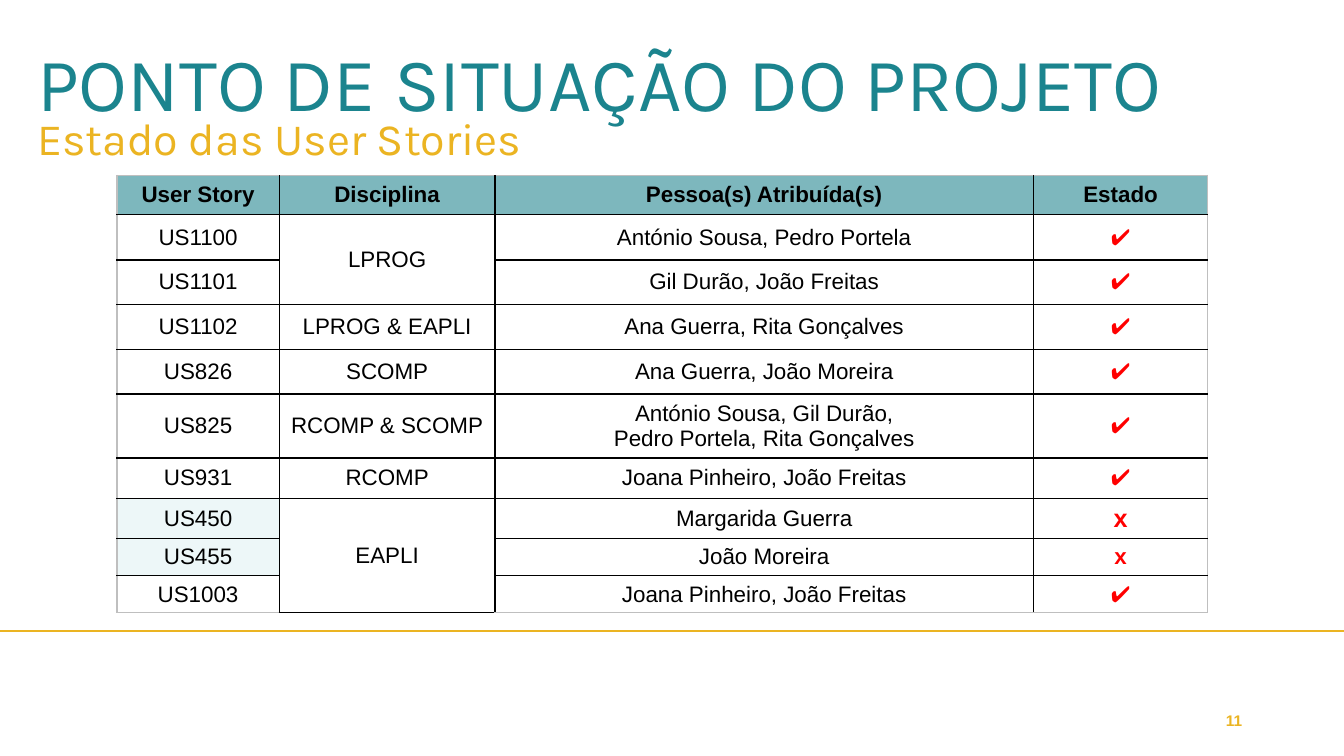
from lxml.etree import SubElement
from pptx import Presentation
from pptx.dml.color import RGBColor
from pptx.enum.shapes import MSO_CONNECTOR
from pptx.enum.text import MSO_ANCHOR, PP_ALIGN
from pptx.oxml.ns import qn
from pptx.util import Inches, Pt

COLORS = {
    "teal": "1B848E", "gold": "EBB422", "header": "7DB7BD", "pending": "EDF7F8",
    "black": "000000", "red": "FF0000", "edge": "BFBFBF",
}
TITLE = "PONTO DE SITUAÇÃO DO PROJETO"
SUBTITLE = "Estado das User Stories"
PAGE = "11"
DONE, OPEN = "✔", "x"
HEADER = ("User Story", "Disciplina", "Pessoa(s) Atribuída(s)", "Estado")
STORIES = [
    ("US1100", "LPROG", "António Sousa, Pedro Portela", DONE),
    ("US1101", "", "Gil Durão, João Freitas", DONE),
    ("US1102", "LPROG & EAPLI", "Ana Guerra, Rita Gonçalves", DONE),
    ("US826", "SCOMP", "Ana Guerra, João Moreira", DONE),
    ("US825", "RCOMP & SCOMP", "António Sousa, Gil Durão,\nPedro Portela, Rita Gonçalves", DONE),
    ("US931", "RCOMP", "Joana Pinheiro, João Freitas", DONE),
    ("US450", "EAPLI", "Margarida Guerra", OPEN),
    ("US455", "", "João Moreira", OPEN),
    ("US1003", "", "Joana Pinheiro, João Freitas", DONE),
]
MERGED_ROWS = [(1, 2), (7, 9)]
COL_WIDTHS = (1.61, 2.14, 5.34, 1.73)
ROW_HEIGHTS = (0.39, 0.45, 0.44, 0.45, 0.44, 0.63, 0.4, 0.4, 0.37, 0.36)


def rgb(name):
    return RGBColor.from_string(COLORS[name])


def write(tf, text, size=16, font="Arial", color="black", bold=False,
          align=PP_ALIGN.LEFT, spacing=None):
    for i, line in enumerate(text.split("\n")):
        p = tf.add_paragraph() if i else tf.paragraphs[0]
        p.alignment = align
        if spacing:
            p.line_spacing = spacing
        r = p.add_run()
        r.text = line
        r.font.size = Pt(size)
        r.font.name = font
        r.font.bold = bold
        r.font.color.rgb = rgb(color)


def add_text(slide, box, text, anchor=MSO_ANCHOR.TOP, **fmt):
    tf = slide.shapes.add_textbox(*map(Inches, box)).text_frame
    tf.word_wrap = True
    tf.vertical_anchor = anchor
    write(tf, text, **fmt)


def set_borders(cell, sides):
    """Draw 1 pt borders; sides maps lnL, lnR, lnT and lnB to colour names."""
    tc_pr = cell._tc.get_or_add_tcPr()
    for side, color in sides.items():
        ln = SubElement(tc_pr, qn(f"a:{side}"), w=str(Pt(1)))
        fill = SubElement(ln, qn("a:solidFill"))
        SubElement(fill, qn("a:srgbClr"), val=COLORS[color])


def add_stories(slide):
    rows = [HEADER, *STORIES]
    last_row, last_col = len(rows) - 1, len(HEADER) - 1
    table = slide.shapes.add_table(
        len(rows), len(HEADER), Inches(1.16), Inches(1.74),
        Inches(sum(COL_WIDTHS)), Inches(sum(ROW_HEIGHTS))).table
    table.first_row = table.horz_banding = False
    for col, width in zip(table.columns, COL_WIDTHS):
        col.width = Inches(width)
    for row, height in zip(table.rows, ROW_HEIGHTS):
        row.height = Inches(height)
    for first, last in MERGED_ROWS:
        table.cell(first, 1).merge(table.cell(last, 1))

    for i, values in enumerate(rows):
        for j, text in enumerate(values):
            cell = table.cell(i, j)
            set_borders(cell, {
                "lnL": "edge" if j == 0 else "black",
                "lnR": "edge" if j == last_col else "black",
                "lnT": "edge" if i == 0 else "black",
                "lnB": "edge" if i == last_row and j != 1 else "black",
            })
            cell.vertical_anchor = MSO_ANCHOR.MIDDLE
            pending = j == 0 and values[-1] == OPEN
            if i == 0 or pending:
                cell.fill.solid()
                cell.fill.fore_color.rgb = rgb("pending" if pending else "header")
            else:
                cell.fill.background()
            if text:
                write(cell.text_frame, text, size=18 if text == OPEN and i == 7 else 16,
                      bold=i == 0 or text == OPEN, align=PP_ALIGN.CENTER,
                      color="red" if text in (DONE, OPEN) else "black")


def add_rule(slide, y, width):
    line = slide.shapes.add_connector(MSO_CONNECTOR.STRAIGHT, 0, Inches(y), width, Inches(y))
    line.line.color.rgb = rgb("gold")
    line.line.width = Pt(1.5)
    SubElement(line._element.spPr, qn("a:effectLst"))


def main():
    prs = Presentation()
    prs.slide_width, prs.slide_height = Inches(13.33), Inches(7.5)
    slide = prs.slides.add_slide(prs.slide_layouts[6])
    add_text(slide, (0.27, 0.25, 12.61, 1.22), TITLE, anchor=MSO_ANCHOR.MIDDLE,
             size=54, font="Karla", color="teal", spacing=0.9)
    add_text(slide, (0.27, 1.05, 8.83, 0.64), SUBTITLE, size=32, font="Karla", color="gold")
    add_stories(slide)
    add_rule(slide, 6.26, prs.slide_width)
    add_text(slide, (9.42, 6.95, 3, 0.4), PAGE, anchor=MSO_ANCHOR.MIDDLE,
             size=11, color="gold", bold=True, align=PP_ALIGN.RIGHT)
    prs.save("out.pptx")


if __name__ == "__main__":
    main()
